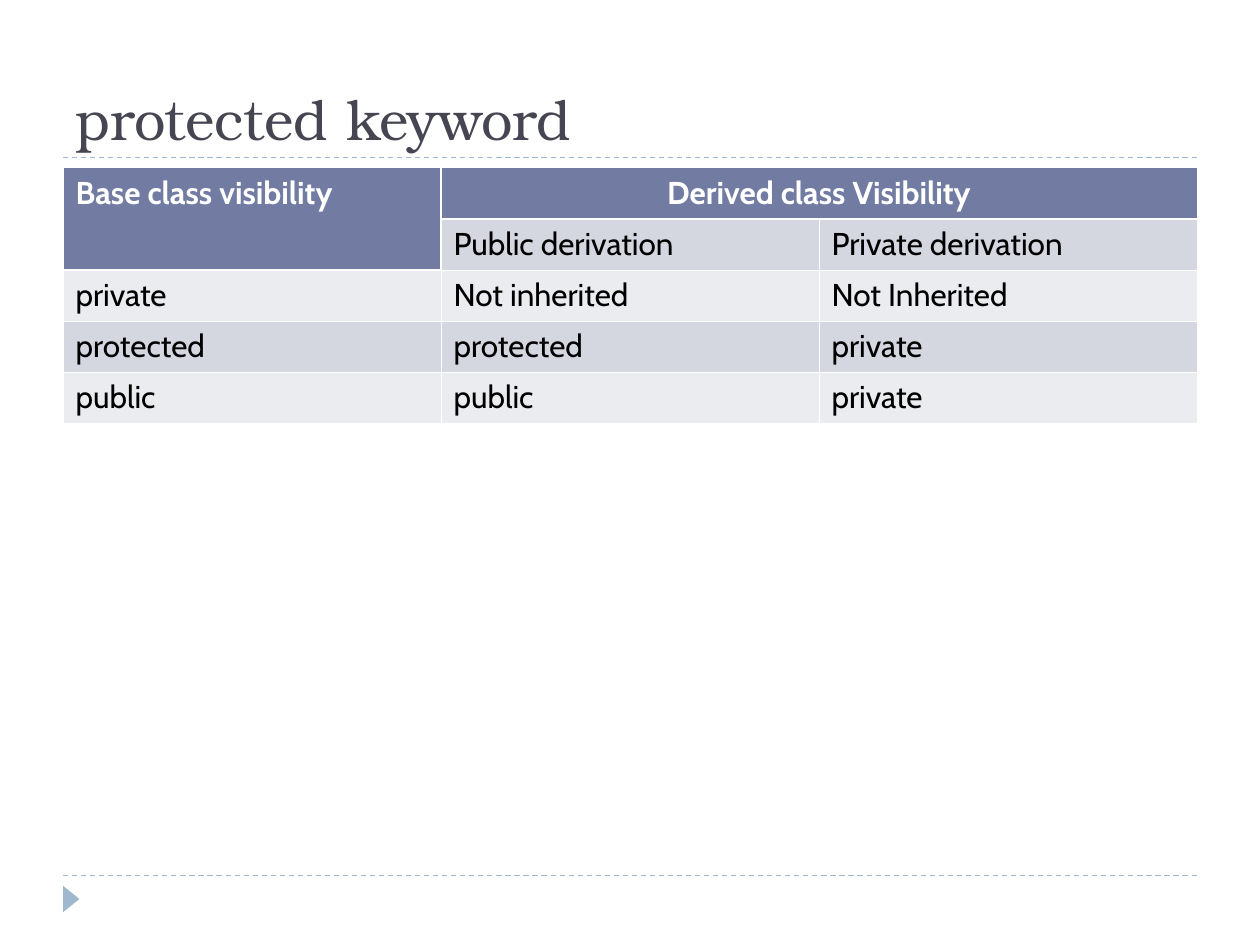
from dataclasses import dataclass

from lxml import etree
from pptx import Presentation
from pptx.dml.color import RGBColor
from pptx.enum.dml import MSO_LINE
from pptx.enum.shapes import MSO_CONNECTOR, MSO_SHAPE
from pptx.enum.text import MSO_ANCHOR, PP_ALIGN
from pptx.oxml.ns import qn
from pptx.util import Inches, Pt

STRAIGHT = MSO_CONNECTOR.STRAIGHT
TRIANGLE = MSO_SHAPE.ISOSCELES_TRIANGLE
DASH = MSO_LINE.DASH
BOTTOM = MSO_ANCHOR.BOTTOM
LEFT, CENTER = PP_ALIGN.LEFT, PP_ALIGN.CENTER


@dataclass(frozen=True)
class Theme:
    """Colours, fonts and sizes of the slide."""
    title: str = "464653"
    accent: str = "9FB8CD"
    header: str = "727CA3"
    band_dark: str = "D5D7E0"
    band_light: str = "EBECF0"
    white: str = "FFFFFF"
    black: str = "000000"
    title_font: str = "TeX Gyre Bonum"
    body_font: str = "Cabin"
    title_size: float = 32
    body_size: float = 18
    rule_width: float = 0.75
    thin_border: float = 0.45
    thick_border: float = 1.47


THEME = Theme()

VISIBILITY = [
    ["Base class visibility", "Derived class Visibility", ""],
    ["", "Public derivation", "Private derivation"],
    ["private", "Not inherited", "Not Inherited"],
    ["protected", "protected", "private"],
    ["public", "public", "private"],
]


def style(paragraph, font_name, size, color, bold=False):
    """Set the font of a whole paragraph."""
    font = paragraph.font
    font.name, font.size, font.bold = font_name, Pt(size), bold
    font.color.rgb = RGBColor.from_string(color)


def add_rule(slide, left, top, width):
    """Draw a dashed horizontal rule."""
    rule = slide.shapes.add_connector(STRAIGHT, left, top, left + width, top)
    rule.line.color.rgb = RGBColor.from_string(THEME.accent)
    rule.line.width = Pt(THEME.rule_width)
    rule.line.dash_style = DASH
    etree.SubElement(rule._element.spPr, qn("a:effectLst"))


def add_title(slide, left, top, width, height):
    """Place the title on the rule that closes its box."""
    add_rule(slide, left, top + height, width)
    frame = slide.shapes.add_textbox(left, top, width, height).text_frame
    frame.word_wrap = True
    frame.vertical_anchor = BOTTOM
    frame.text = "protected keyword"
    style(frame.paragraphs[0], THEME.title_font, THEME.title_size, THEME.title)


def add_footer(slide, left, top, width):
    """Draw the footer rule with the arrow below its left end."""
    add_rule(slide, left, top, width)
    base, depth = Inches(0.21), Inches(0.13)
    arrow = slide.shapes.add_shape(
        TRIANGLE, left - (base - depth) // 2, top + Inches(0.12), base, depth)
    arrow.rotation = 90
    arrow.shadow.inherit = False
    arrow.fill.solid()
    arrow.fill.fore_color.rgb = RGBColor.from_string(THEME.accent)
    arrow.line.fill.background()


def set_borders(cell, thick_sides):
    """Give a cell white borders, thicker on the named sides."""
    properties = cell._tc.get_or_add_tcPr()
    for side in "LRTB":
        width = THEME.thick_border if side in thick_sides else THEME.thin_border
        border = etree.SubElement(properties, qn(f"a:ln{side}"), w=str(Pt(width)))
        fill = etree.SubElement(border, qn("a:solidFill"))
        etree.SubElement(fill, qn("a:srgbClr"), val=THEME.white)


def thick_sides_at(row, column):
    """Name the sides of a cell that lie on the edge of the header."""
    header_rows = 2 if column == 0 else 1
    sides = {
        "L": column == 1 and row < 2,
        "R": column == 0 and row < 2,
        "T": row == header_rows,
        "B": row == header_rows - 1,
    }
    return [side for side, thick in sides.items() if thick]


def add_visibility_table(slide, left, top, width, height):
    """Build the table of inherited visibility."""
    table = slide.shapes.add_table(
        len(VISIBILITY), len(VISIBILITY[0]), left, top, width, height).table
    table.cell(0, 0).merge(table.cell(1, 0))
    table.cell(0, 1).merge(table.cell(0, 2))
    for row, labels in enumerate(VISIBILITY):
        for column, label in enumerate(labels):
            cell = table.cell(row, column)
            is_header = row == 0 or (row == 1 and column == 0)
            band = THEME.band_dark if row % 2 else THEME.band_light
            set_borders(cell, thick_sides_at(row, column))
            cell.fill.solid()
            cell.fill.fore_color.rgb = RGBColor.from_string(
                THEME.header if is_header else band)
            cell.text = label
            paragraph = cell.text_frame.paragraphs[0]
            paragraph.alignment = CENTER if (row, column) == (0, 1) else LEFT
            style(paragraph, THEME.body_font, THEME.body_size,
                  THEME.white if is_header else THEME.black, is_header)


def main():
    """Build and save the slide."""
    deck = Presentation()
    deck.slide_width, deck.slide_height = Inches(10), Inches(7.5)
    slide = deck.slides.add_slide(deck.slide_layouts[6])
    left, width = Inches(0.5), Inches(9)
    add_footer(slide, left, Inches(6.95), width)
    add_title(slide, left, Inches(0.17), width, Inches(1.08))
    add_visibility_table(slide, left, Inches(1.33), width, Inches(2.03))
    deck.save("out.pptx")


if __name__ == "__main__":
    main()
